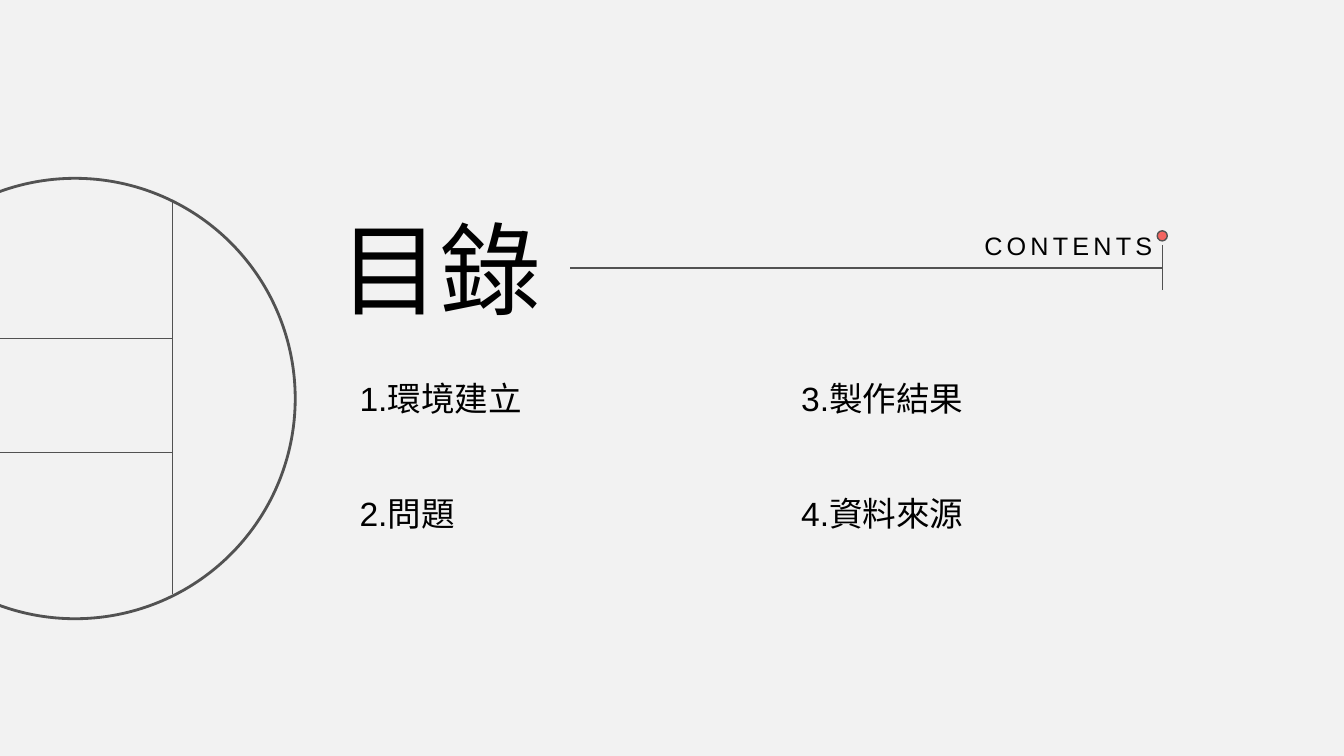
import pptx
import pptx.dml.color
import pptx.enum.lang
import pptx.enum.shapes
import pptx.enum.text
import pptx.util
from dataclasses import dataclass
from lxml import etree

Pt = pptx.util.Pt
RGB = pptx.dml.color.RGBColor.from_string
ALIGN = pptx.enum.text.PP_ALIGN
SHAPE = pptx.enum.shapes.MSO_SHAPE
LANG = pptx.enum.lang.MSO_LANGUAGE_ID


@dataclass(frozen=True)
class Theme:
    background: str = "F2F2F2"
    ink: str = "000000"
    line: str = "525252"
    accent: str = "F36460"
    font: str = "Arial"
    title: int = 72
    item: int = 24
    label: int = 18


theme = Theme()

prs = pptx.Presentation()
prs.slide_width, prs.slide_height = Pt(960), Pt(540)
s = prs.slides.add_slide(prs.slide_layouts[6])
s.background.fill.solid()
s.background.fill.fore_color.rgb = RGB(theme.background)


def add_text(text, left, top, width, height, size, align=ALIGN.LEFT):
    """Add a one-line text box and return its run."""
    tf = s.shapes.add_textbox(Pt(left), Pt(top), Pt(width), Pt(height)).text_frame
    tf.word_wrap = True
    p = tf.paragraphs[0]
    p.alignment = align
    p.font.name = theme.font
    p.font.size = Pt(size)
    p.font.color.rgb = RGB(theme.ink)
    r = p.add_run()
    r.text = text
    r.font.language_id = LANG.TRADITIONAL_CHINESE
    return r


# Heading and its label
add_text("目錄", 182.2, 144, 211.7, 94.3, theme.title, ALIGN.RIGHT)
label = add_text("CONTENTS", 650.9, 161.3, 179.3, 30.2, theme.label, ALIGN.RIGHT)
label.font.language_id = LANG.ENGLISH_US
label.font._element.set("spc", "300")

# Contents, filled column by column
items = ["環境建立", "問題", "製作結果", "資料來源"]
for i, item in enumerate(items):
    column, row = divmod(i, 2)
    add_text(f"{i + 1}.{item}", 249.8 + 315.4 * column, 266.4 + 82.1 * row,
             276.5, 36, theme.item)

# Ring at the left edge and dot at the end of the heading rule
ring_left, divider_x, rule_y, rule_end = -103.7, 123.1, 191.5, 830.2
circles = [
    (ring_left, 127.4, 314.6, 2, None),
    (rule_end - 3.6, 164.9, 7.2, 1, theme.accent),
]
for left, top, size, weight, fill in circles:
    sp = s.shapes.add_shape(SHAPE.OVAL, Pt(left), Pt(top), Pt(size), Pt(size))
    sp.shadow.inherit = False
    sp.line.color.rgb = RGB(theme.line)
    sp.line.width = Pt(weight)
    if fill:
        sp.fill.solid()
        sp.fill.fore_color.rgb = RGB(fill)
    else:
        sp.fill.background()

lines = [
    (407.5, rule_y, rule_end, rule_y),
    (rule_end, 175, rule_end, 207.4),
    (ring_left, 241.9, divider_x, 241.9),
    (ring_left, 323.3, divider_x, 323.3),
    (divider_x, 144, divider_x, 424.1),
]
for ends in lines:
    line = s.shapes.add_connector(pptx.enum.shapes.MSO_CONNECTOR.STRAIGHT, *map(Pt, ends))
    line.line.color.rgb = RGB(theme.line)
    line.line.width = Pt(1)
    etree.SubElement(line._element.spPr, pptx.oxml.ns.qn("a:effectLst"))

prs.save("out.pptx")
